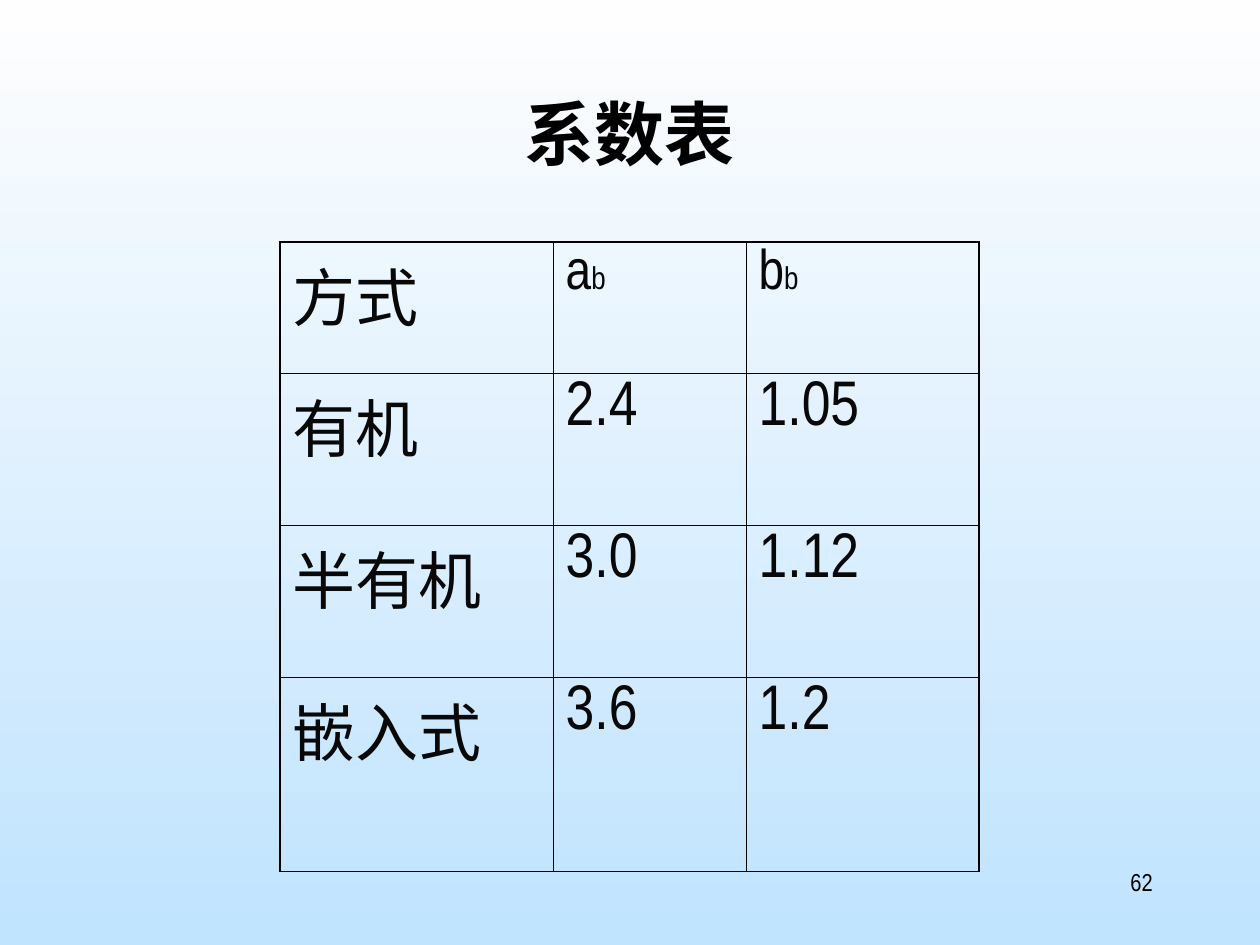
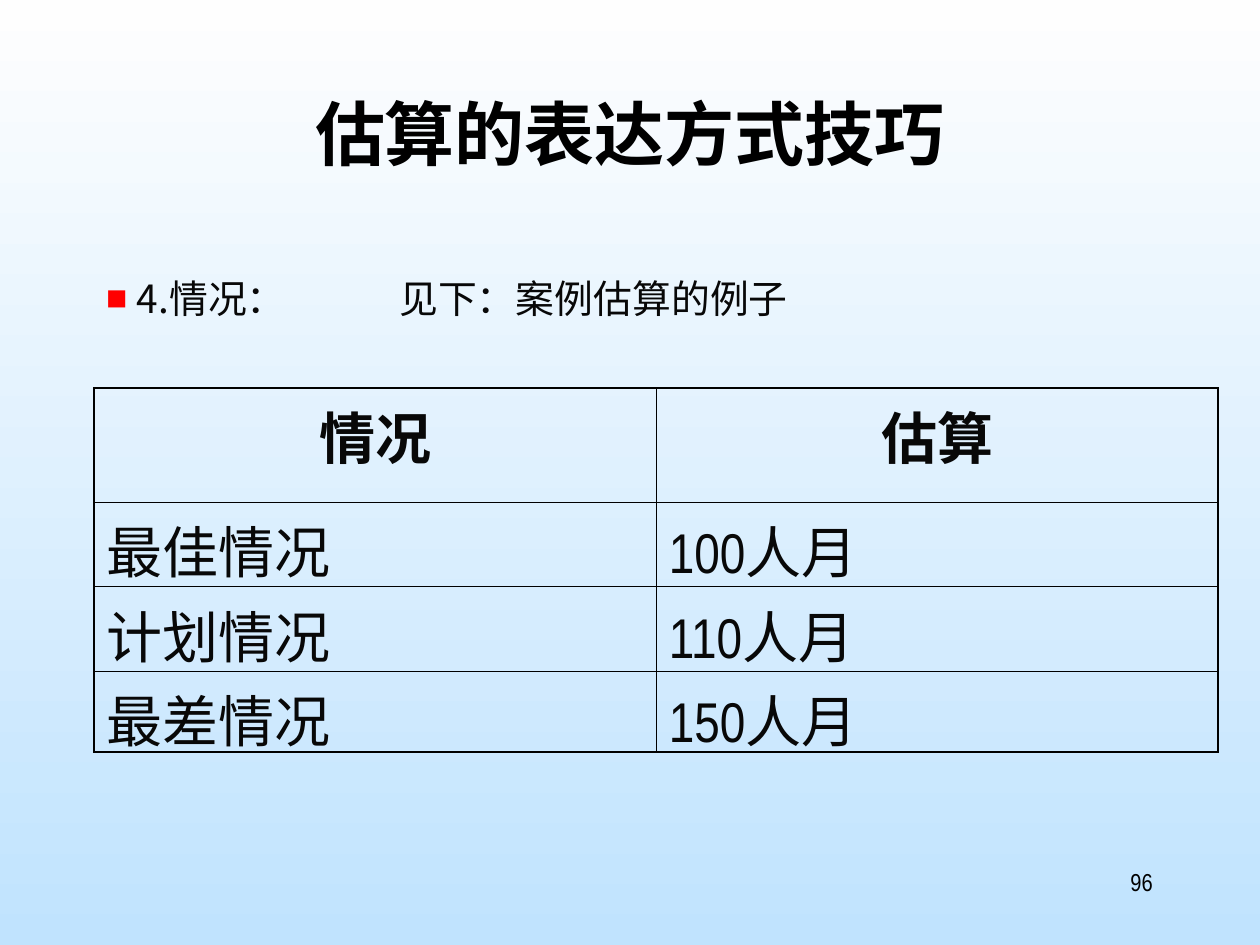
from lxml.etree import SubElement
from pptx import Presentation
from pptx.dml.color import RGBColor
from pptx.enum.text import MSO_ANCHOR, PP_ALIGN
from pptx.oxml.ns import qn
from pptx.util import Cm, Pt

COLORS = {"sky_top": "FEFEFE", "sky_bottom": "C0E3FE", "title": "000000",
          "text": "080808", "line": "000000", "bullet": "FF0000"}
SANS, NARROW = "Noto Sans CJK SC", "Arial Narrow"
OUTER, INNER = 1.08, 0.45  # table line widths in points

# A cell is a list of (text, size) runs.
COEFFICIENTS = {
    "title": "系数表", "number": "62",
    "at": (5.64, 4.88), "columns": (5.51, 3.89, 4.7), "rows": (2.64, 3.07, 3.07, 3.91),
    "cells": [[[("方式", 36)], [("a", 32), ("b", 18)], [("b", 32), ("b", 18)]]]
    + [[[(text, 36)] for text in row] for row in (
        ("有机", "2.4", "1.05"), ("半有机", "3.0", "1.12"), ("嵌入式", "3.6", "1.2"))],
    "space": 9, "bold_header": False,
}
ESTIMATES = {
    "title": "估算的表达方式技巧", "number": "96",
    "bullet": "4.情况：\t见下：案例估算的例子",
    "at": (1.9, 7.82), "columns": (11.33, 11.33), "rows": (2.31, 1.7, 1.7, 1.63),
    "cells": [[[(text, 32)] for text in row] for row in (
        ("情况", "估算"), ("最佳情况", "100人月"), ("计划情况", "110人月"), ("最差情况", "150人月"))],
    "space": 8, "bold_header": True,
}


def rgb(name):
    return RGBColor.from_string(COLORS[name])


def add_runs(p, runs, font, color="text", bold=False):
    for text, size in runs:
        r = p.add_run()
        r.text = text
        r.font.size, r.font.bold, r.font.name = Pt(size), bold, font
        r.font.color.rgb = rgb(color)
        SubElement(r._r.get_or_add_rPr(), qn("a:ea"), typeface=SANS)


def add_text(slide, box, text, size, font, color, align=PP_ALIGN.LEFT, bold=False):
    tf = slide.shapes.add_textbox(*map(Cm, box)).text_frame
    tf.word_wrap, tf.vertical_anchor = True, MSO_ANCHOR.TOP
    p = tf.paragraphs[0]
    p.alignment = align
    add_runs(p, [(text, size)], font, color, bold)
    return p


def add_bullet(slide, text):
    """Add a line with a red square and one tab stop."""
    p = add_text(slide, (1.9, 5.51, 21.59, 1.27), text, 22.2, SANS, "text")
    p.line_spacing, p.space_before = 0.9, Pt(6)
    pPr = p._p.get_or_add_pPr()
    pPr.set("marL", str(Cm(0.61)))
    pPr.set("indent", str(Cm(-0.61)))
    SubElement(SubElement(pPr, qn("a:buClr")), qn("a:srgbClr"), val=COLORS["bullet"])
    SubElement(pPr, qn("a:buSzPct"), val="55000")
    SubElement(pPr, qn("a:buFont"), typeface=SANS)
    SubElement(pPr, qn("a:buChar"), char="■")
    SubElement(SubElement(pPr, qn("a:tabLst")), qn("a:tab"), pos=str(Cm(5.9)), algn="l")


def set_borders(cell, widths):
    """Draw left, right, top and bottom lines of the given widths."""
    tcPr = cell._tc.get_or_add_tcPr()
    for side, width in zip("LRTB", widths):
        ln = SubElement(tcPr, qn(f"a:ln{side}"), w=str(Pt(width)))
        SubElement(SubElement(ln, qn("a:solidFill")), qn("a:srgbClr"), val=COLORS["line"])


def add_grid(slide, data):
    columns, rows = data["columns"], data["rows"]
    table = slide.shapes.add_table(len(rows), len(columns), *map(
        Cm, (*data["at"], sum(columns), sum(rows)))).table
    table.first_row = table.horz_banding = False
    for column, width in zip(table.columns, columns):
        column.width = Cm(width)
    for i, (row, height) in enumerate(zip(table.rows, rows)):
        row.height = Cm(height)
        header = i == 0 and data["bold_header"]
        for j, cell in enumerate(row.cells):
            edges = (j == 0, j == len(columns) - 1, i == 0, i == len(rows) - 1)
            set_borders(cell, [OUTER if edge else INNER for edge in edges])
            cell.fill.background()
            runs = data["cells"][i][j]
            p = cell.text_frame.paragraphs[0]
            p.alignment = PP_ALIGN.CENTER if header else PP_ALIGN.LEFT
            p.space_before = Pt(data["space"] / len(runs))
            add_runs(p, runs, NARROW, bold=header)


def add_slide(prs, data):
    slide = prs.slides.add_slide(prs.slide_layouts[6])
    fill = slide.background.fill
    fill.gradient()
    fill.gradient_angle = 270
    for stop, name in zip(fill.gradient_stops, ("sky_top", "sky_bottom")):
        stop.color.rgb = rgb(name)
    add_text(slide, (1.9, 1.7, 21.59, 3.18), data["title"], 40, SANS, "title",
             PP_ALIGN.CENTER, bold=True)
    if "bullet" in data:
        add_bullet(slide, data["bullet"])
    add_grid(slide, data)
    add_text(slide, (18.21, 17.35, 5.28, 1.27), data["number"], 14, NARROW, "title",
             PP_ALIGN.RIGHT)


def main():
    prs = Presentation()
    prs.slide_width, prs.slide_height = Cm(25.4), Cm(19.05)
    for data in (COEFFICIENTS, ESTIMATES):
        add_slide(prs, data)
    prs.save("out.pptx")


if __name__ == "__main__":
    main()
